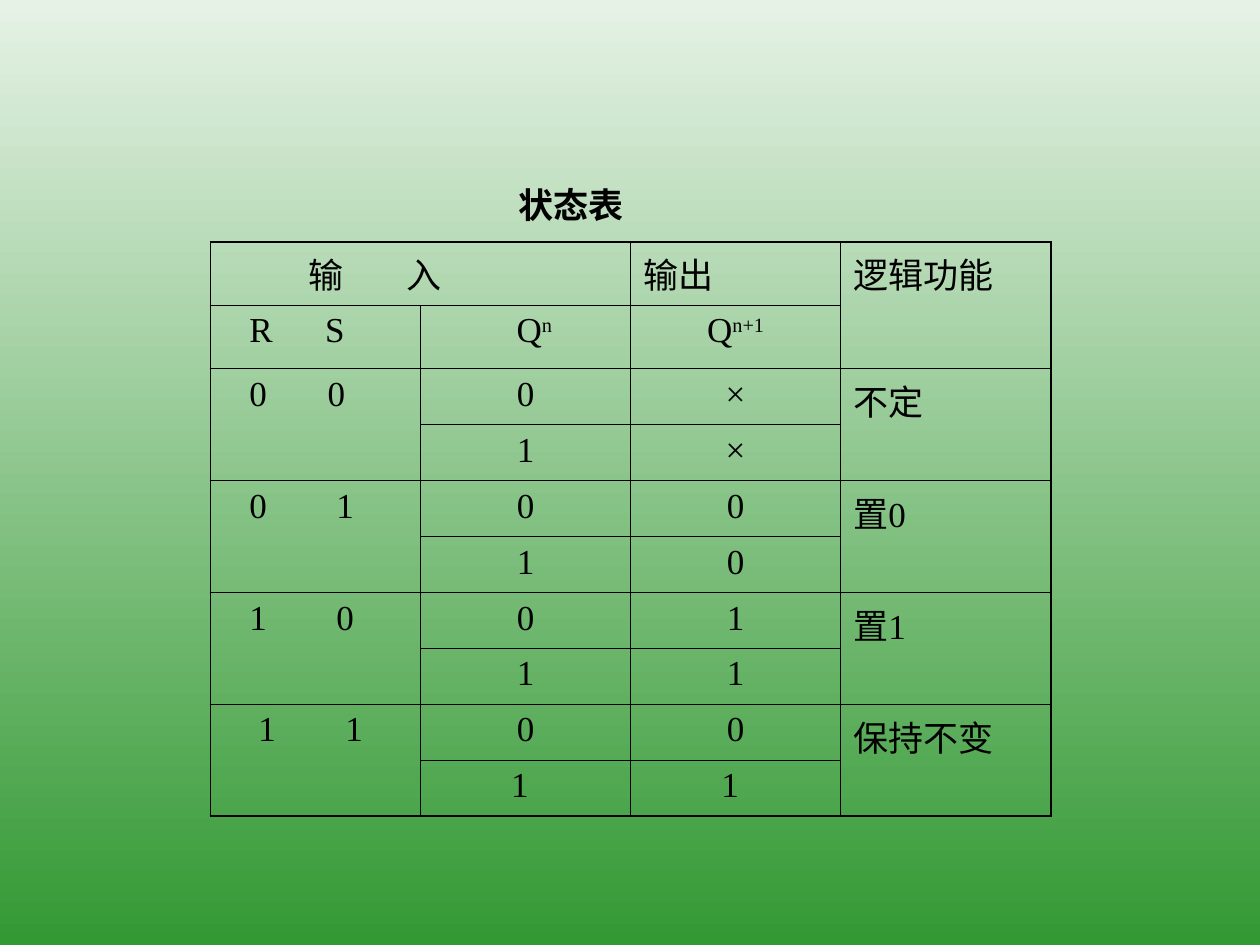
from dataclasses import dataclass

from lxml.etree import SubElement
from pptx import Presentation
from pptx.dml.color import RGBColor
from pptx.enum.text import MSO_ANCHOR, PP_ALIGN
from pptx.oxml.ns import qn
from pptx.util import Inches, Pt

BLACK = RGBColor(0x00, 0x00, 0x00)
PALE_GREEN = RGBColor(0xE6, 0xF2, 0xE6)
GREEN = RGBColor(0x33, 0x99, 0x33)
FONT = "Times New Roman"
ROWS, COLUMNS = 10, 4
OUTER_LINE, INNER_LINE = 1.08, 0.45


@dataclass(frozen=True)
class Entry:
    row: int
    column: int
    text: str
    superscript: str = ""
    align: PP_ALIGN = PP_ALIGN.LEFT
    tabs: tuple[float, ...] = ()
    margin: float = 0
    row_span: int = 1
    column_span: int = 1


@dataclass(frozen=True)
class State:
    """One R/S input pair with the next state for Qn = 0 and Qn = 1."""
    inputs: str
    tabs: tuple[float, float]
    outputs: str
    function: str


HEADERS = [
    Entry(0, 0, "\t输\t入", tabs=(0.68, 1.46), column_span=2),
    Entry(0, 2, "输出"),
    Entry(0, 3, "逻辑功能", row_span=2),
    Entry(1, 0, "\tR\tS", tabs=(0.21, 0.81)),
    Entry(1, 1, "Q", "n", PP_ALIGN.CENTER, margin=0.14),
    Entry(1, 2, "Q", "n+1", PP_ALIGN.CENTER),
]
STATES = [
    State("\t0\t0", (0.21, 0.83), "××", "不定"),
    State("\t0\t1", (0.21, 0.9), "00", "置0"),
    State("\t1\t0", (0.21, 0.9), "11", "置1"),
    State("\t1\t1", (0.28, 0.97), "01", "保持不变"),
]


def add_run(paragraph, text: str, bold: bool = False, raised: bool = False) -> None:
    run = paragraph.add_run()
    run.text = text
    run.font.name = FONT
    run.font.size = Pt(20)
    run.font.bold = bold
    run.font.color.rgb = BLACK
    if raised:
        run.font._element.set("baseline", "30000")


def set_margin(paragraph, margin: float) -> None:
    properties = paragraph._p.get_or_add_pPr()
    properties.set("marL", str(Inches(margin)))
    properties.set("indent", "0")


def add_tabs(paragraph, positions: tuple[float, ...]) -> None:
    tab_list = SubElement(paragraph._p.get_or_add_pPr(), qn("a:tabLst"))
    for position in positions:
        SubElement(tab_list, qn("a:tab"), pos=str(Inches(position)), algn="l")


def fill_cell(table, entry: Entry) -> None:
    cell = table.cell(entry.row, entry.column)
    if entry.row_span > 1 or entry.column_span > 1:
        cell.merge(table.cell(entry.row + entry.row_span - 1,
                              entry.column + entry.column_span - 1))
    paragraph = cell.text_frame.paragraphs[0]
    paragraph.alignment = entry.align
    if entry.margin:
        set_margin(paragraph, entry.margin)
    if entry.tabs:
        add_tabs(paragraph, entry.tabs)
    add_run(paragraph, entry.text)
    if entry.superscript:
        add_run(paragraph, entry.superscript, raised=True)


def format_cell(cell, row: int, column: int) -> None:
    """Thick lines on the table's outline, thin ones inside, no fill."""
    outer_edges = {
        "a:lnL": column == 0,
        "a:lnR": column + cell.span_width == COLUMNS,
        "a:lnT": row == 0,
        "a:lnB": row + cell.span_height == ROWS,
    }
    properties = cell._tc.get_or_add_tcPr()
    for tag, is_outer in outer_edges.items():
        width = Pt(OUTER_LINE if is_outer else INNER_LINE)
        line = SubElement(properties, qn(tag), w=str(width))
        fill = SubElement(line, qn("a:solidFill"))
        SubElement(fill, qn("a:srgbClr"), val=str(BLACK))
    cell.fill.background()


def state_entries() -> list[Entry]:
    entries = []
    for index, state in enumerate(STATES):
        top = 2 + 2 * index
        entries.append(Entry(top, 0, state.inputs, tabs=state.tabs, row_span=2))
        entries.append(Entry(top, 3, state.function, row_span=2))
        for present, following in enumerate(state.outputs):
            row = top + present
            for column, value in ((1, str(present)), (2, following)):
                if row == ROWS - 1:  # the last row is indented, not centred
                    entries.append(Entry(row, column, "\t" + value, tabs=(0.62,)))
                else:
                    entries.append(Entry(row, column, value, align=PP_ALIGN.CENTER))
    return entries


def main() -> None:
    presentation = Presentation()
    presentation.slide_width, presentation.slide_height = Inches(10), Inches(7.5)
    slide = presentation.slides.add_slide(presentation.slide_layouts[5])

    # Background, pale at the top
    background = slide.background.fill
    background.gradient()
    background.gradient_angle = 270
    for stop, color in zip(background.gradient_stops, (PALE_GREEN, GREEN)):
        stop.color.rgb = color

    # Title
    title = slide.shapes.title
    title.left, title.top = Inches(2.58), Inches(1.33)
    title.width, title.height = Inches(3.83), Inches(0.58)
    title.text_frame.vertical_anchor = MSO_ANCHOR.MIDDLE
    paragraph = title.text_frame.paragraphs[0]
    paragraph.alignment = PP_ALIGN.CENTER
    set_margin(paragraph, 0.07)
    add_run(paragraph, "状态表", bold=True)

    # State table
    table = slide.shapes.add_table(ROWS, COLUMNS, Inches(1.67), Inches(1.92),
                                   Inches(6.67), Inches(4.44)).table
    table.first_row = False
    table.horz_banding = False
    for entry in HEADERS + state_entries():
        fill_cell(table, entry)
    for row in range(ROWS):
        for column in range(COLUMNS):
            format_cell(table.cell(row, column), row, column)

    presentation.save("out.pptx")


if __name__ == "__main__":
    main()
